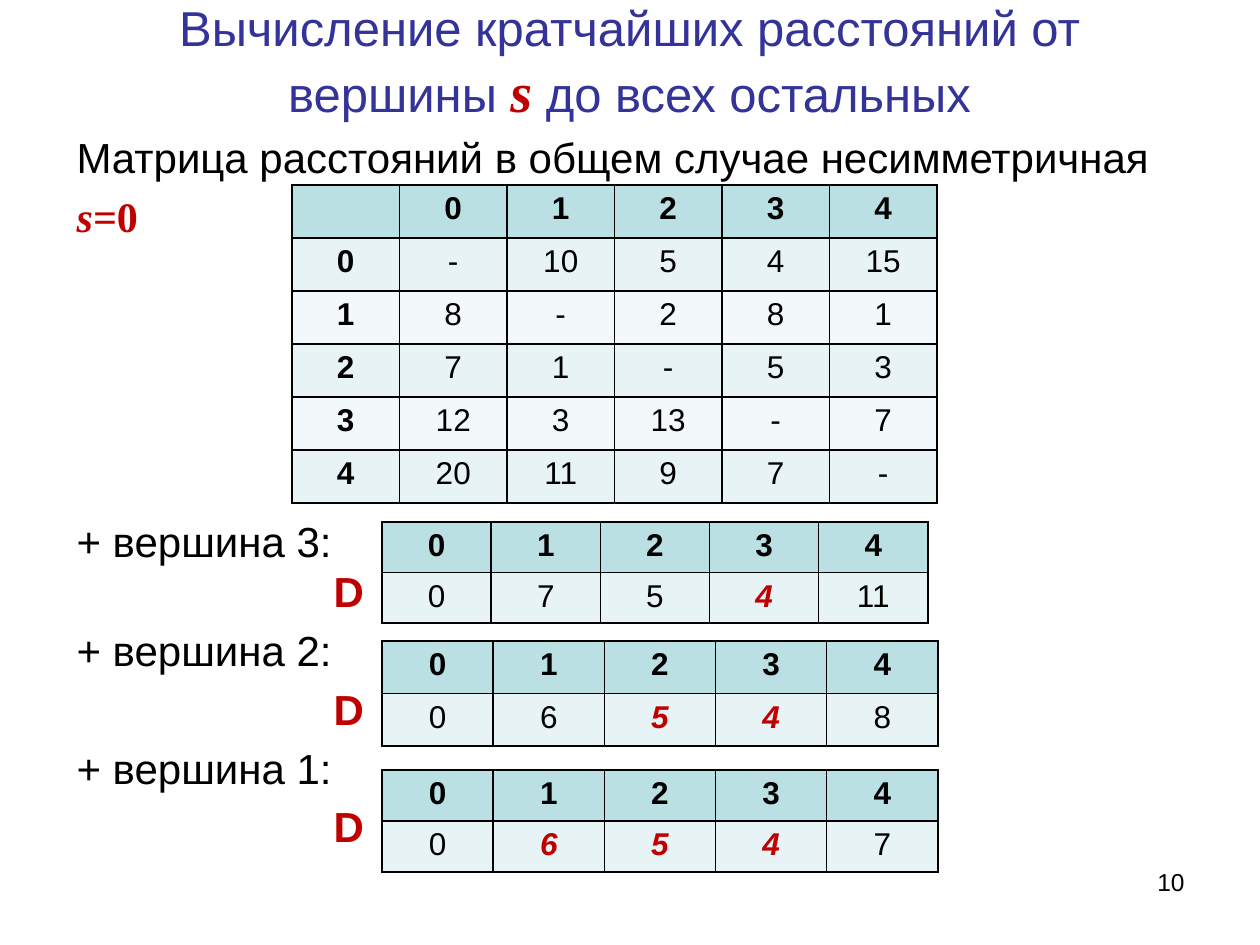
import pptx
import pptx.dml.color
import pptx.enum.text
import pptx.oxml.ns
import pptx.util
from lxml import etree

SLIDE_WIDTH, SLIDE_HEIGHT = 1260, 945
EMU_PER_PX = 914400 / 126

COLORS = {
    "title": "333399",
    "text": "000000",
    "accent": "C00000",
    "border": "000000",
    "header": "BBE0E3",
    "odd_row": "E7F3F4",
    "even_row": "F3F9FA",
}
ALIGN = pptx.enum.text.PP_ALIGN

DISTANCES = [
    ["", "0", "1", "2", "3", "4"],
    ["0", "-", "10", "5", "4", "15"],
    ["1", "8", "-", "2", "8", "1"],
    ["2", "7", "1", "-", "5", "3"],
    ["3", "12", "3", "13", "-", "7"],
    ["4", "20", "11", "9", "7", "-"],
]
VERTICES = ["0", "1", "2", "3", "4"]
# Box, distances from s, vertices already settled
STEPS = [
    ((382, 522, 546, 101), ["0", "7", "5", "4", "11"], {3}),
    ((382, 641, 556, 105), ["0", "6", "5", "4", "8"], {2, 3}),
    ((382, 770, 556, 102), ["0", "6", "5", "4", "7"], {1, 2, 3}),
]


def px(length):
    return pptx.util.Emu(round(length * EMU_PER_PX))


def rgb(name):
    return pptx.dml.color.RGBColor.from_string(COLORS[name])


def place(shape, box):
    shape.left, shape.top, shape.width, shape.height = map(px, box)


def style(font, size, color="text", face="Arial", bold=False, italic=False):
    font.size = pptx.util.Pt(size)
    font.name = face
    font.color.rgb = rgb(color)
    font.bold = bold
    font.italic = italic


def fill_title(title):
    place(title, (74, 6, 1111, 110))
    title.text_frame.auto_size = pptx.enum.text.MSO_AUTO_SIZE.NONE
    heading = title.text_frame.paragraphs[0]
    heading.alignment = ALIGN.CENTER
    for words in ("Вычисление кратчайших расстояний от вершины ", "s",
                  " до всех остальных"):
        run = heading.add_run()
        run.text = words
        if words == "s":
            style(run.font, 32, "accent", "Times New Roman", True, True)
        else:
            style(run.font, 28, "title")


def add_line(frame, text, indent=0, **look):
    """Add an unbulleted line to the body; return its paragraph."""
    line = frame.paragraphs[0]
    if line.runs:
        line = frame.add_paragraph()
    line.add_run().text = text
    style(line.font, 24, **look)
    properties = line._p.get_or_add_pPr()
    properties.set("marL", str(px(indent)))
    properties.set("indent", "0")
    bullet = etree.Element(pptx.oxml.ns.qn("a:buNone"))
    properties.find(pptx.oxml.ns.qn("a:defRPr")).addprevious(bullet)
    return line


def fill_body(body):
    place(body, (64, 125, 1134, 804))
    frame = body.text_frame
    frame.auto_size = pptx.enum.text.MSO_AUTO_SIZE.NONE
    add_line(frame, "Матрица расстояний в общем случае несимметричная")

    source = add_line(frame, "s=", color="accent", face="Times New Roman", bold=True)
    source.runs[0].font.italic = True
    source.add_run().text = "0"

    # Each step is a vertex line and an indented D beside its table
    for vertex in (3, 2, 1):
        step = add_line(frame, f"+ вершина {vertex}:")
        label = add_line(frame, "D", indent=257, color="accent", bold=True)
        if vertex == 3:
            step.space_before = pptx.util.Pt(157)
            label.space_before = pptx.util.Pt(0)


def add_borders(cell):
    properties = cell._tc.get_or_add_tcPr()
    for position, side in enumerate(("lnL", "lnR", "lnT", "lnB")):
        border = etree.Element(pptx.oxml.ns.qn(f"a:{side}"), w=str(pptx.util.Pt(1)))
        solid = etree.SubElement(border, pptx.oxml.ns.qn("a:solidFill"))
        etree.SubElement(solid, pptx.oxml.ns.qn("a:srgbClr"), val=COLORS["border"])
        properties.insert(position, border)


def add_grid(slide, box, rows, row_headers=False, settled=()):
    left, top, width, height = box
    grid = slide.shapes.add_table(len(rows), len(rows[0]), *map(px, box)).table
    grid.first_row = grid.horz_banding = False
    for column in grid.columns:
        column.width = px(width / len(rows[0]))
    for row in grid.rows:
        row.height = px(height / len(rows))
    for r, values in enumerate(rows):
        band = "header" if r == 0 else "odd_row" if r % 2 else "even_row"
        for c, value in enumerate(values):
            cell = grid.cell(r, c)
            cell.fill.solid()
            cell.fill.fore_color.rgb = rgb(band)
            add_borders(cell)
            entry = cell.text_frame.paragraphs[0]
            entry.alignment = ALIGN.CENTER
            if value:
                entry.add_run().text = value
            final = r > 0 and c in settled
            heading = r == 0 or (row_headers and c == 0)
            style(entry.font, 18, "accent" if final else "text",
                  bold=heading or final, italic=final)


def add_page_number(slide, number):
    frame = slide.shapes.add_textbox(*map(px, (903, 861, 294, 66))).text_frame
    frame.word_wrap = True
    page = frame.paragraphs[0]
    page.add_run().text = number
    page.alignment = ALIGN.RIGHT
    style(page.font, 14)


def main():
    deck = pptx.Presentation()
    deck.slide_width, deck.slide_height = px(SLIDE_WIDTH), px(SLIDE_HEIGHT)
    slide = deck.slides.add_slide(deck.slide_layouts[1])

    fill_title(slide.shapes.title)
    fill_body(slide.placeholders[1])

    # Distance matrix, then the distances from s after each step
    add_grid(slide, (292, 185, 645, 318), DISTANCES, row_headers=True)
    for box, distances, settled in STEPS:
        add_grid(slide, box, [VERTICES, distances], settled=settled)

    add_page_number(slide, "10")
    deck.save("out.pptx")


if __name__ == "__main__":
    main()
